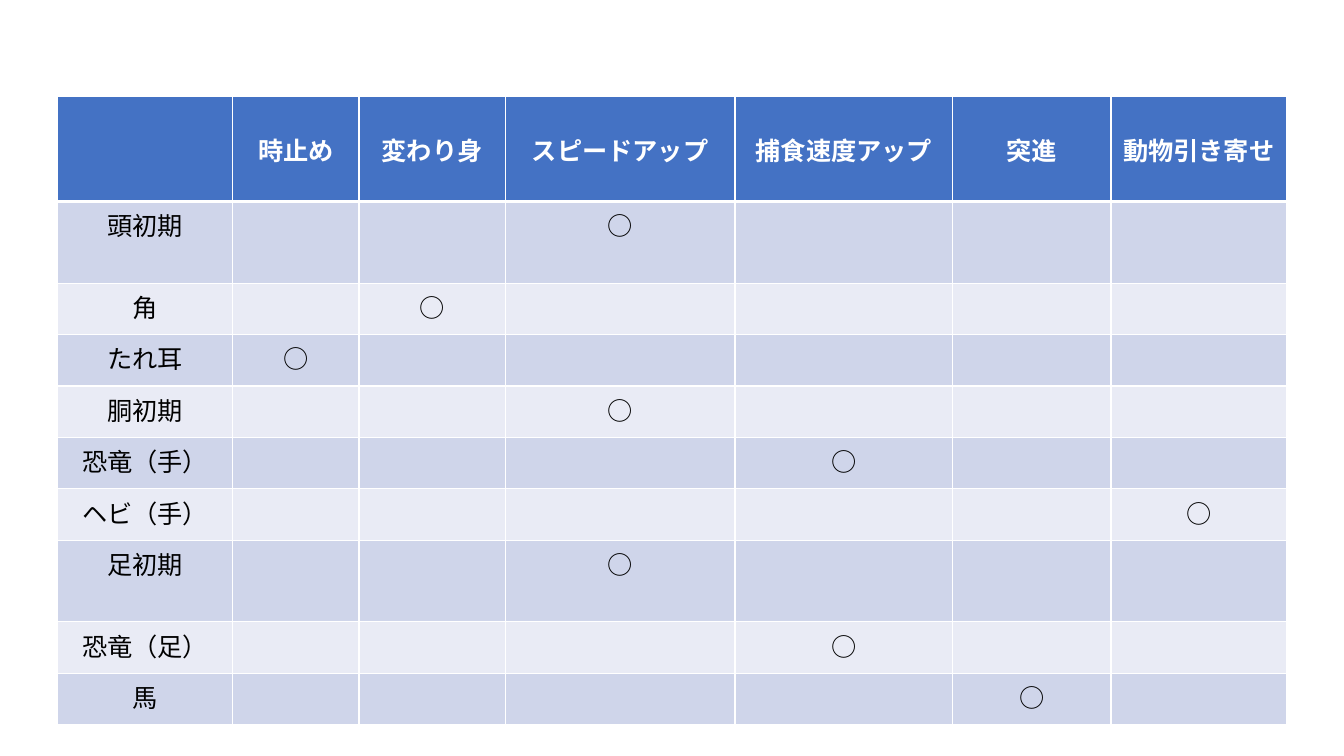
from dataclasses import dataclass

from lxml.etree import SubElement
from pptx import Presentation
from pptx.dml.color import RGBColor
from pptx.enum.text import MSO_ANCHOR, PP_ALIGN
from pptx.oxml import parse_xml
from pptx.oxml.ns import nsdecls, qn
from pptx.util import Inches, Pt


@dataclass(frozen=True)
class Theme:
    font: str = "Noto Sans CJK JP"
    text_size: int = 18
    header_fill: str = "4472C4"
    odd_fill: str = "CFD5EA"
    even_fill: str = "E9EBF5"
    header_text: str = "FFFFFF"
    body_text: str = "000000"
    border: str = "FFFFFF"
    thin_line: int = 1
    thick_line: int = 3


THEME = Theme()

# Skills across the top; each body part has one skill
SKILL_WIDTHS = {
    "時止め": 1.25,
    "変わり身": 1.45,
    "スピードアップ": 2.28,
    "捕食速度アップ": 2.16,
    "突進": 1.57,
    "動物引き寄せ": 1.74,
}
PART_SKILLS = {
    "頭初期": "スピードアップ",
    "角": "変わり身",
    "たれ耳": "時止め",
    "胴初期": "スピードアップ",
    "恐竜（手）": "捕食速度アップ",
    "ヘビ（手）": "動物引き寄せ",
    "足初期": "スピードアップ",
    "恐竜（足）": "捕食速度アップ",
    "馬": "突進",
}
TALL_PARTS = ("頭初期", "足初期")
MARK = "○"

# Table measures in inches
LEFT, TOP = 0.57, 0.96
PART_WIDTH = 1.74
HEADER_HEIGHT, ROW_HEIGHT, TALL_HEIGHT = 1.04, 0.51, 0.81


def write_text(text_frame, text, *, color, bold=False, align=PP_ALIGN.CENTER):
    paragraph = text_frame.paragraphs[0]
    paragraph.alignment = align
    run = paragraph.add_run()
    run.text = text
    run.font.name = THEME.font
    run.font.size = Pt(THEME.text_size)
    run.font.bold = bold
    run.font.color.rgb = RGBColor.from_string(color)
    # Japanese characters use the East Asian font
    SubElement(run.font._element, qn("a:ea")).set("typeface", THEME.font)


def set_borders(cell, *, top, bottom):
    widths = {"lnL": THEME.thin_line, "lnR": THEME.thin_line,
              "lnT": top, "lnB": bottom}
    properties = cell._tc.get_or_add_tcPr()
    for position, (side, width) in enumerate(widths.items()):
        line = parse_xml(
            f'<a:{side} {nsdecls("a")} w="{Pt(width)}"><a:solidFill>'
            f'<a:srgbClr val="{THEME.border}"/></a:solidFill></a:{side}>')
        properties.insert(position, line)


def style_cell(cell, row_index):
    if row_index == 0:
        fill = THEME.header_fill
        cell.vertical_anchor = MSO_ANCHOR.MIDDLE
    else:
        fill = THEME.odd_fill if row_index % 2 else THEME.even_fill
    cell.fill.solid()
    cell.fill.fore_color.rgb = RGBColor.from_string(fill)
    set_borders(cell,
                top=THEME.thick_line if row_index == 1 else THEME.thin_line,
                bottom=THEME.thick_line if row_index == 0 else THEME.thin_line)


def add_skill_table(slide):
    rows = [["", *SKILL_WIDTHS]]
    for part, part_skill in PART_SKILLS.items():
        marks = [MARK if skill == part_skill else "" for skill in SKILL_WIDTHS]
        rows.append([part, *marks])
    widths = [PART_WIDTH, *SKILL_WIDTHS.values()]
    heights = [HEADER_HEIGHT] + [
        TALL_HEIGHT if part in TALL_PARTS else ROW_HEIGHT
        for part in PART_SKILLS]

    table = slide.shapes.add_table(
        len(rows), len(widths), Inches(LEFT), Inches(TOP),
        Inches(sum(widths)), Inches(sum(heights))).table
    for column, width in zip(table.columns, widths):
        column.width = Inches(width)
    for row, height in zip(table.rows, heights):
        row.height = Inches(height)

    for row_index, texts in enumerate(rows):
        is_header = row_index == 0
        color = THEME.header_text if is_header else THEME.body_text
        for column_index, text in enumerate(texts):
            cell = table.cell(row_index, column_index)
            style_cell(cell, row_index)
            if text:
                write_text(cell.text_frame, text, color=color, bold=is_header)


def main():
    presentation = Presentation()
    presentation.slide_width = Inches(13.33)
    presentation.slide_height = Inches(7.5)
    blank_layout = presentation.slide_layouts[6]
    slide = presentation.slides.add_slide(blank_layout)
    add_skill_table(slide)
    presentation.save("out.pptx")


main()
